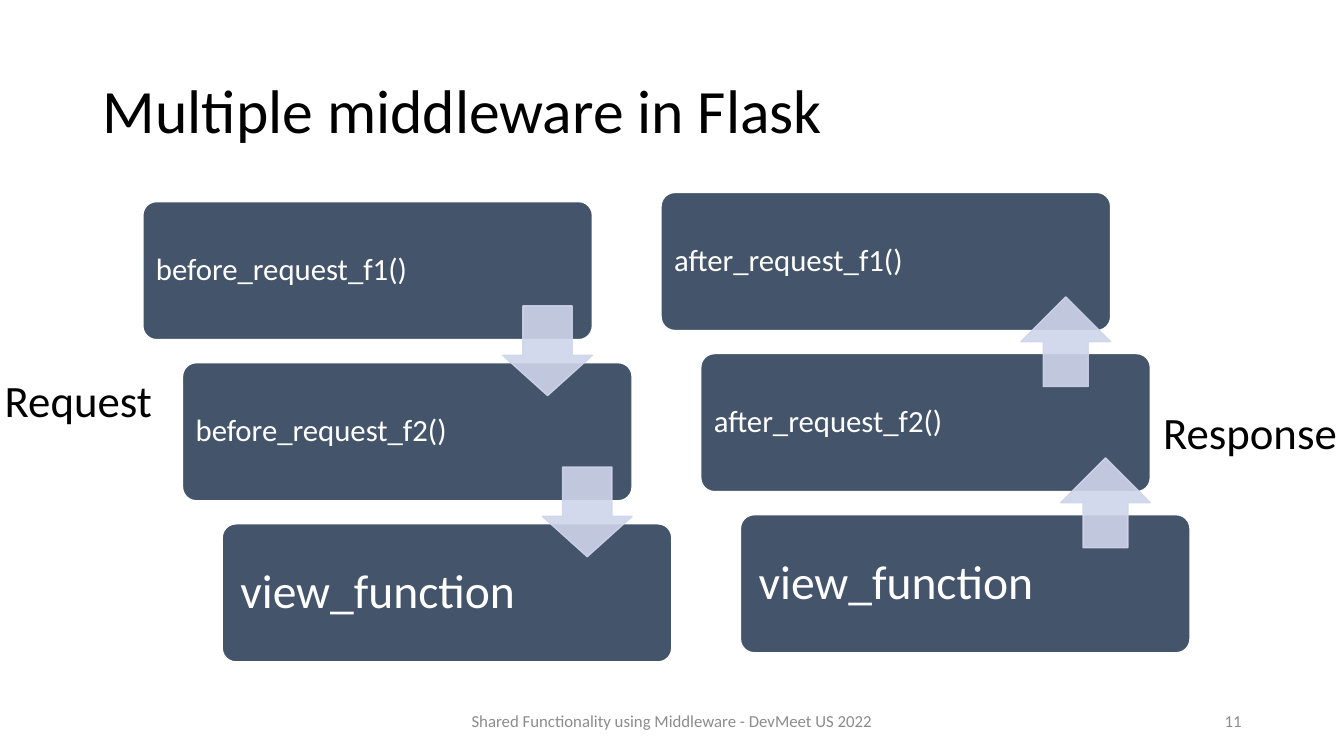
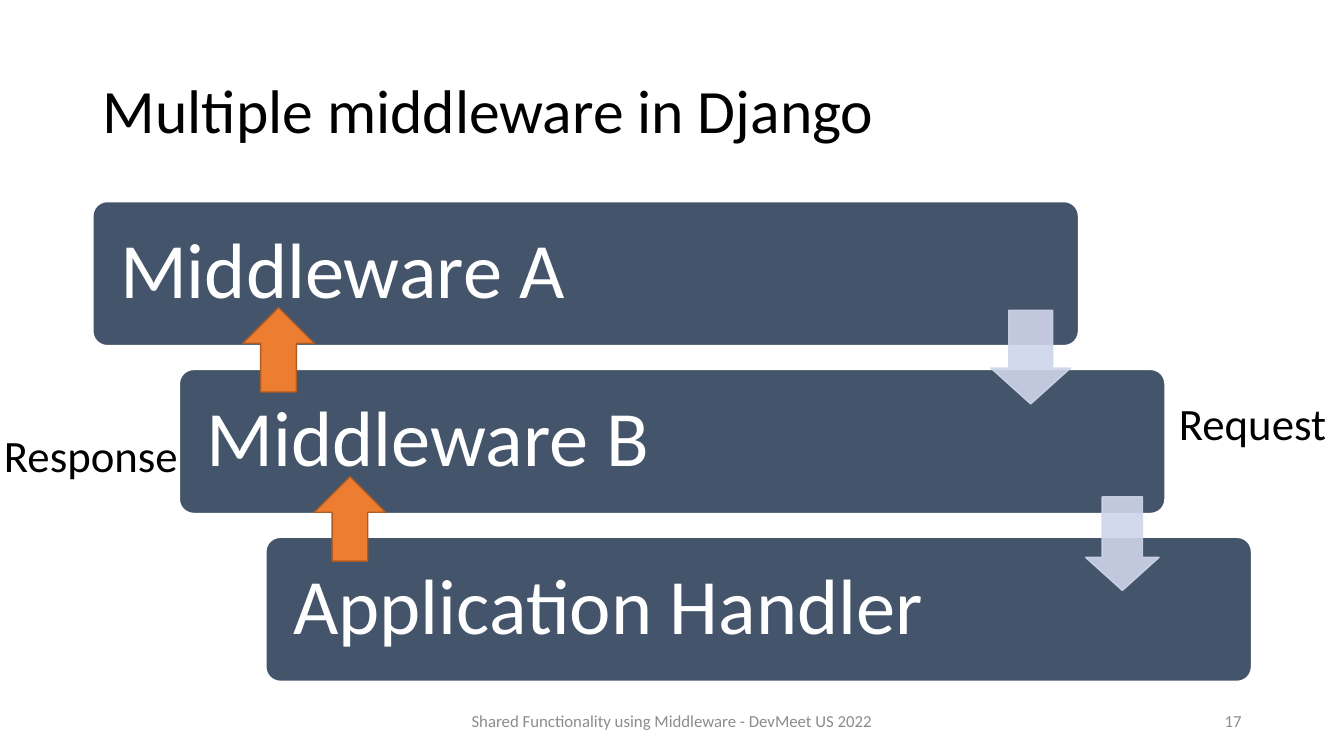
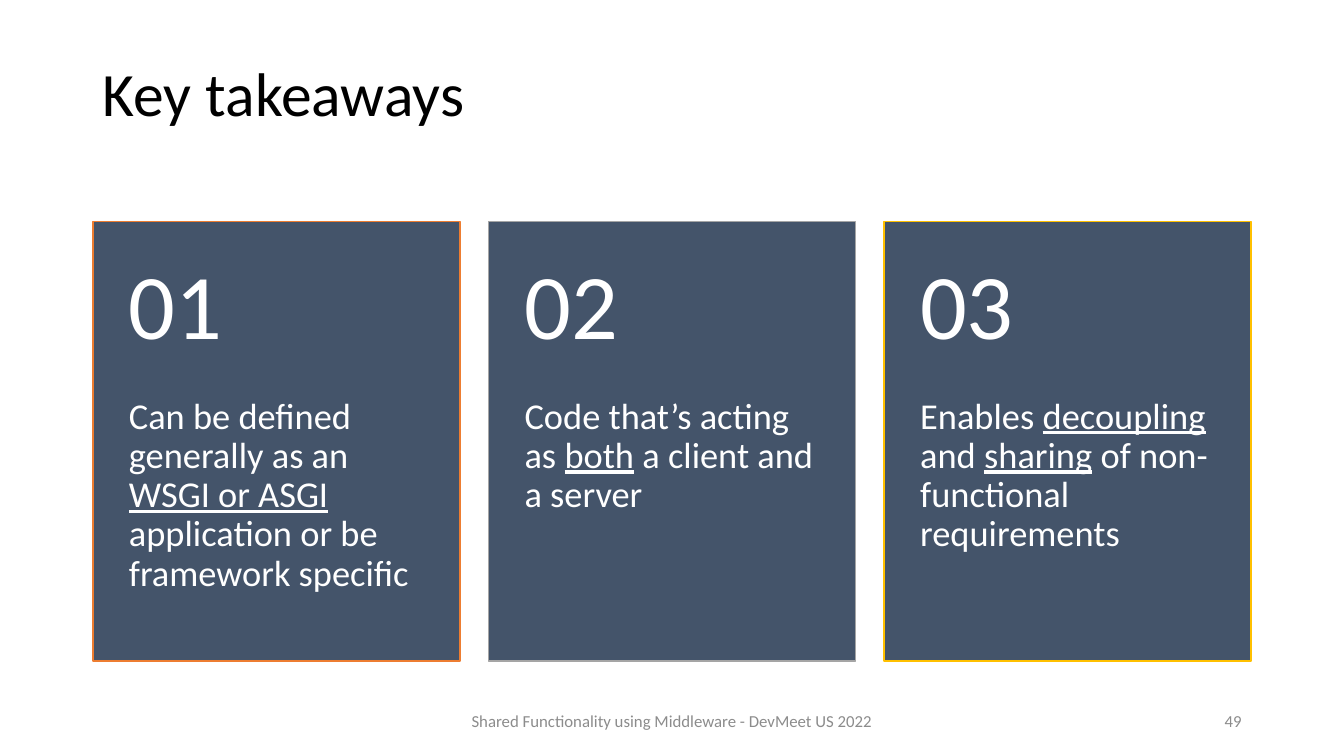
import pptx
import pptx.util
import pptx.dml.color
import pptx.enum.shapes
import pptx.enum.text
import pptx.oxml.ns
import lxml.etree

Cm, Pt = pptx.util.Cm, pptx.util.Pt
SHAPE = pptx.enum.shapes.MSO_SHAPE
ANCHOR = pptx.enum.text.MSO_ANCHOR
ALIGN = pptx.enum.text.PP_ALIGN

FONT = "Calibri"
SLATE, WHITE, BLACK, GREY = "44546A", "FFFFFF", "000000", "8C8C8C"
PALE, ORANGE, RUST, SILVER, GOLD = "CFD5EA", "ED7D31", "AF5C24", "A5A5A5", "FFC000"
FOOTER = "Shared Functionality using Middleware - DevMeet US 2022"
TITLE_BOX = (2.34, 1.02, 29.21, 3.68)
TAKEAWAYS_TITLE_BOX = (2.34, 0.94, 29.18, 3)

FLASK_STACKS = [
    {"left": 3.6, "top": 5.08, "arrow": SHAPE.DOWN_ARROW, "adjust": (0.55, 0.45),
     "steps": [("before_request_f1()", 22, 0.23), ("before_request_f2()", 22, 0.23),
               ("view_function", 34, 0.36)]},
    {"left": 16.66, "top": 4.85, "arrow": SHAPE.UP_ARROW, "adjust": (0.5, 0.5),
     "steps": [("after_request_f1()", 22, 0.23), ("after_request_f2()", 22, 0.23),
               ("view_function", 34, 0.36)]},
]
FLASK_LABELS = [("Request", (-0.13, 9.25, 4.27, 1.63)), ("Response", (29.06, 10.06, 4.93, 1.63))]

DJANGO_STEPS = [(name, 56, 0.58) for name in ("Middleware A", "Middleware B", "Application Handler")]
DJANGO_REQUEST_ARROWS = [(24.97, 7.82, 2.01, 2.36), (27.36, 12.52, 1.85, 2.36)]
DJANGO_RESPONSE_ARROWS = [(7.92, 12.01, 1.8, 2.13), (6.12, 7.75, 1.8, 2.13)]
DJANGO_LABELS = [("Request", (29.46, 9.83, 4.27, 1.63)), ("Response", (-0.15, 10.64, 4.93, 1.63))]

TAKEAWAYS = [
    (ORANGE, [("Can be defined generally as an ", False), ("WSGI or ASGI", True),
              (" application or be framework specific", False)]),
    (SILVER, [("Code that’s acting as ", False), ("both", True), (" a client and a server", False)]),
    (GOLD, [("Enables ", False), ("decoupling", True), (" and ", False), ("sharing", True),
            (" of non-functional requirements", False)]),
]


def rgb(value):
    return pptx.dml.color.RGBColor.from_string(value)


def write(sp, runs, size, color, align=ALIGN.LEFT, anchor=ANCHOR.MIDDLE,
          insets=(0.25, 0.13, 0.25, 0.13), spacing=1.0, wrap=True):
    tf = sp.text_frame
    tf.auto_size = pptx.enum.text.MSO_AUTO_SIZE.NONE
    tf.word_wrap = wrap
    tf.vertical_anchor = anchor
    tf.margin_left, tf.margin_top, tf.margin_right, tf.margin_bottom = map(Cm, insets)
    p = tf.paragraphs[0]
    p.alignment, p.line_spacing = align, spacing
    p.font.name, p.font.size, p.font.color.rgb = FONT, Pt(size), rgb(color)
    for text, underlined in runs:
        r = p.add_run()
        r.text = text
        if underlined:
            r.font.underline = True


def add_text(s, box, text, size, color, **options):
    write(s.shapes.add_textbox(*map(Cm, box)), [(text, False)], size, color, **options)


def add_block(s, kind, box, fill, line, adjust=(), opacity=100):
    sp = s.shapes.add_shape(kind, *map(Cm, box))
    sp.shadow.inherit = False
    sp.fill.solid()
    sp.fill.fore_color.rgb = rgb(fill)
    sp.line.color.rgb = rgb(line)
    sp.line.width = Pt(1)
    for i, value in enumerate(adjust):
        sp.adjustments[i] = value
    if opacity < 100:
        qn = pptx.oxml.ns.qn
        for color in sp.fill._xPr.iter(qn("a:srgbClr")):
            lxml.etree.SubElement(color, qn("a:alpha")).set("val", str(opacity * 1000))
    return sp


def add_pale_arrow(s, kind, box, adjust):
    add_block(s, kind, box, PALE, PALE, adjust, 90)


def add_staircase(s, steps, left, top, width, height, dx, dy):
    boxes = [(left + i * dx, top + i * dy, width, height) for i in range(len(steps))]
    for box, (text, size, inset) in zip(boxes, steps):
        sp = add_block(s, SHAPE.ROUNDED_RECTANGLE, box, SLATE, WHITE, (0.1,))
        write(sp, [(text, False)], size, WHITE, insets=(inset,) * 4, spacing=0.9)
    return boxes


def add_labels(s, labels):
    for text, box in labels:
        add_text(s, box, text, 32, BLACK, anchor=ANCHOR.TOP, wrap=False)


def add_slide(prs, title, number, title_box=TITLE_BOX):
    s = prs.slides.add_slide(prs.slide_layouts[5])
    sp = s.shapes.title
    sp.left, sp.top, sp.width, sp.height = map(Cm, title_box)
    write(sp, [(title, False)], 44, BLACK, spacing=0.9)
    add_text(s, (11.22, 17.66, 11.43, 1.01), FOOTER, 12, GREY, align=ALIGN.CENTER)
    add_text(s, (23.92, 17.66, 7.62, 1.01), str(number), 12, GREY, align=ALIGN.RIGHT)
    return s


def build_flask(prs):
    s = add_slide(prs, "Multiple middleware in Flask", 11)
    arrow_size = 2.26
    for stack in FLASK_STACKS:
        boxes = add_staircase(s, stack["steps"], stack["left"], stack["top"], 11.33, 3.48, 1, 4.06)
        for left, top, width, height in boxes[:-1]:
            box = (left + width - arrow_size, top + 2.63, arrow_size, arrow_size)
            add_pale_arrow(s, stack["arrow"], box, stack["adjust"])
    add_labels(s, FLASK_LABELS)


def build_django(prs):
    s = add_slide(prs, "Multiple middleware in Django", 17)
    add_staircase(s, DJANGO_STEPS, 2.34, 5.08, 24.84, 3.63, 2.18, 4.23)
    for box in DJANGO_REQUEST_ARROWS:
        add_pale_arrow(s, SHAPE.DOWN_ARROW, box, (0.55, 0.45))
    for box in DJANGO_RESPONSE_ARROWS:
        add_block(s, SHAPE.UP_ARROW, box, ORANGE, RUST)
    add_labels(s, DJANGO_LABELS)


def build_takeaways(prs):
    s = add_slide(prs, "Key takeaways", 49, TAKEAWAYS_TITLE_BOX)
    top, width, height, number_height, pitch = 5.59, 9.25, 11.07, 4.43, 9.97
    for i, (line, runs) in enumerate(TAKEAWAYS):
        left = 2.34 + i * pitch
        card = add_block(s, SHAPE.RECTANGLE, (left, top, width, height), SLATE, line)
        write(card, runs, 26, WHITE, anchor=ANCHOR.TOP,
              insets=(0.91, number_height, 0.91, 0.91), spacing=0.9)
        add_text(s, (left, top, width, number_height), f"{i + 1:02}", 66, WHITE,
                 insets=(0.91, 0.46, 0.91, 0.46), spacing=0.9)


def main():
    prs = pptx.Presentation()
    prs.slide_width, prs.slide_height = Cm(33.87), Cm(19.05)
    build_flask(prs)
    build_django(prs)
    build_takeaways(prs)
    prs.save("out.pptx")


if __name__ == "__main__":
    main()
